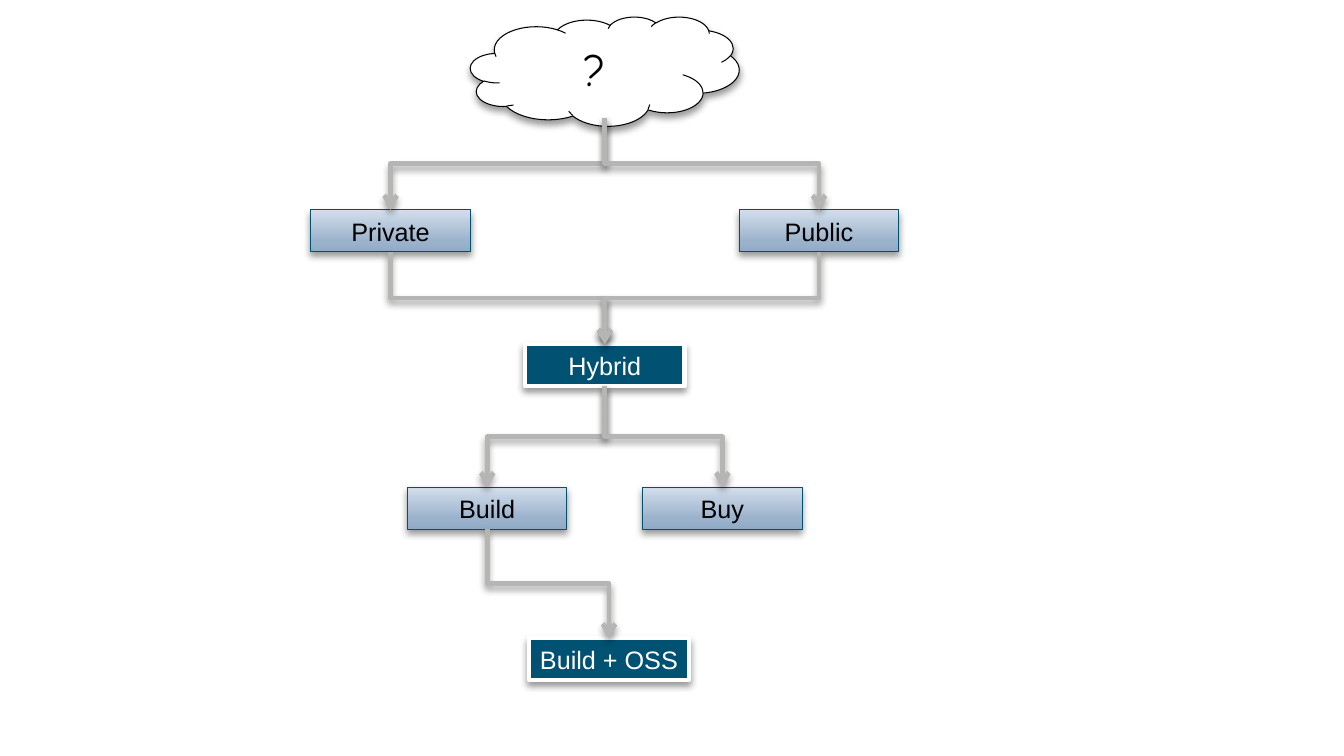
"""Build a decision tree slide that leads from a question cloud to Build + OSS."""
from lxml.etree import SubElement
from pptx import Presentation
from pptx.dml.color import RGBColor
from pptx.enum.shapes import MSO_CONNECTOR as Link, MSO_SHAPE as Shape
from pptx.enum.text import MSO_ANCHOR as Anchor, PP_ALIGN as Align
from pptx.oxml.ns import qn
from pptx.util import Inches, Pt

CELL = Inches(1) / 12
COLUMNS, ROWS = 160, 90
BOX_WIDTH, BOX_HEIGHT = 19, 5
CLOUD = {"text": "?", "center": 72, "top": 2, "width": 32, "height": 13}
CLOUD_EXIT = 14
BOXES = {
    "Private": (46.5, 25, "option"),
    "Public": (97.5, 25, "option"),
    "Hybrid": (72, 41, "choice"),
    "Build": (58, 58, "option"),
    "Buy": (86, 58, "option"),
    "Build + OSS": (72.5, 76, "choice"),
}
LINKS = [
    ("?", "Private"), ("?", "Public"),
    ("Private", "Hybrid"), ("Public", "Hybrid"),
    ("Hybrid", "Build"), ("Hybrid", "Buy"),
    ("Build", "Build + OSS"),
]
GRADIENT = [(0, "91AAC5"), (25, "9BB2CC"), (100, "D3DEEB")]
STYLES = {
    "question": ("FFFFFF", "000000", 0.75, "000000", "Comic Neue", 32),
    "option": (GRADIENT, "005172", 0.75, "000000", "Arial", 18),
    "choice": ("005172", "FFFFFF", 3, "FFFFFF", "Arial", 18),
}
LINK_COLOR, LINK_WEIGHT = "B5B6B3", 3.35


def color(value):
    return RGBColor.from_string(value)


def cells(*counts):
    return [round(count * CELL) for count in counts]


def add_child(parent, tag, **attributes):
    return SubElement(parent, qn(tag), {key: str(value) for key, value in attributes.items()})


def add_shadow(effects):
    shadow = add_child(effects, "a:outerShdw", blurRad=Pt(5.2), dist=Pt(3),
                       dir=90 * 60000, rotWithShape=0)
    tint = add_child(shadow, "a:srgbClr", val="000000")
    add_child(tint, "a:alpha", val=40000)


def fill_gradient(shape, stops):
    shape.fill.gradient()
    shape.fill.gradient_angle = 90
    stop_list = shape._element.spPr.find(".//" + qn("a:gsLst"))
    for stop in list(stop_list):
        stop_list.remove(stop)
    for percent, value in stops:
        stop = add_child(stop_list, "a:gs", pos=percent * 1000)
        add_child(stop, "a:srgbClr", val=value)


def add_node(page, kind, text, center, top, width, height, style):
    fill, line, weight, ink, font, size = STYLES[style]
    node = page.shapes.add_shape(kind, *cells(center - width / 2, top, width, height))
    if isinstance(fill, list):
        fill_gradient(node, fill)
    else:
        node.fill.solid()
        node.fill.fore_color.rgb = color(fill)
    node.line.color.rgb = color(line)
    node.line.width = Pt(weight)
    node.shadow.inherit = False
    add_shadow(node._element.spPr.find(qn("a:effectLst")))
    frame = node.text_frame
    frame.vertical_anchor = Anchor.MIDDLE
    para = frame.paragraphs[0]
    para.text = text
    para.alignment = Align.CENTER
    para.font.name = font
    para.font.size = Pt(size)
    para.font.color.rgb = color(ink)


def add_link(page, start, end):
    """Draw a down-across-down arrow as an elbow turned a quarter."""
    (x1, y1), (x2, y2) = start, end
    middle_x, middle_y = (x1 + x2) / 2, (y1 + y2) / 2
    half_width, half_height = (y2 - y1) / 2, abs(x2 - x1) / 2
    link = page.shapes.add_connector(Link.ELBOW, *cells(
        middle_x - half_width, middle_y - half_height,
        middle_x + half_width, middle_y + half_height))
    properties = link._element.spPr
    goes_right = x2 > x1
    properties.xfrm.set("rot", str((270 if goes_right else 90) * 60000))
    if goes_right:
        properties.xfrm.set("flipH", "1")
    link.line.color.rgb = color(LINK_COLOR)
    link.line.width = Pt(LINK_WEIGHT)
    add_child(properties.find(qn("a:ln")), "a:tailEnd", type="arrow")
    add_shadow(add_child(properties, "a:effectLst"))


def main():
    deck = Presentation()
    deck.slide_width, deck.slide_height = cells(COLUMNS, ROWS)
    page = deck.slides.add_slide(deck.slide_layouts[6])
    add_node(page, Shape.CLOUD, style="question", **CLOUD)
    exits = {CLOUD["text"]: (CLOUD["center"], CLOUD_EXIT)}
    for text, (center, top, style) in BOXES.items():
        add_node(page, Shape.RECTANGLE, text, center, top, BOX_WIDTH, BOX_HEIGHT, style)
        exits[text] = (center, top + BOX_HEIGHT)
    for source, target in LINKS:
        add_link(page, exits[source], BOXES[target][:2])
    deck.save("out.pptx")


if __name__ == "__main__":
    main()
